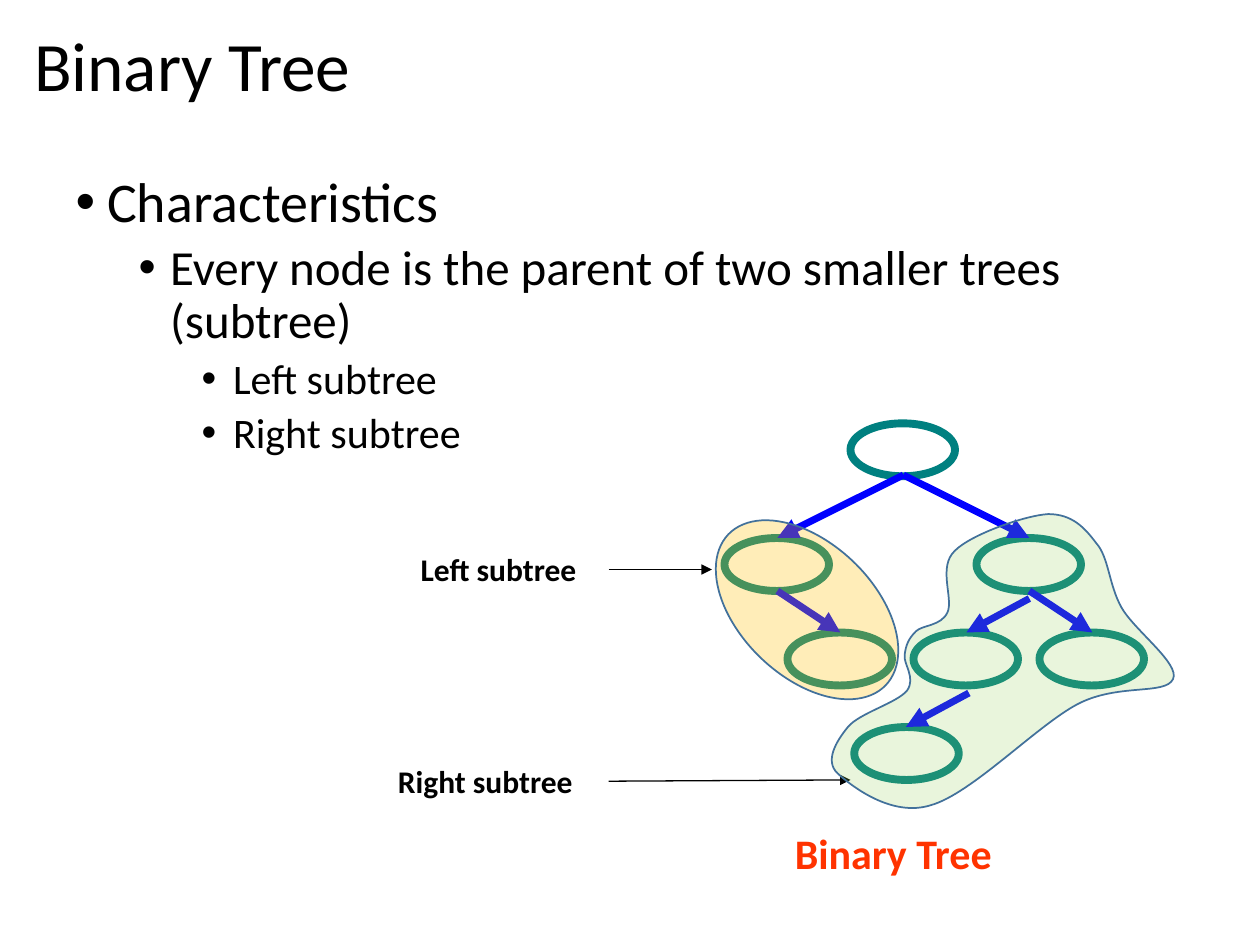
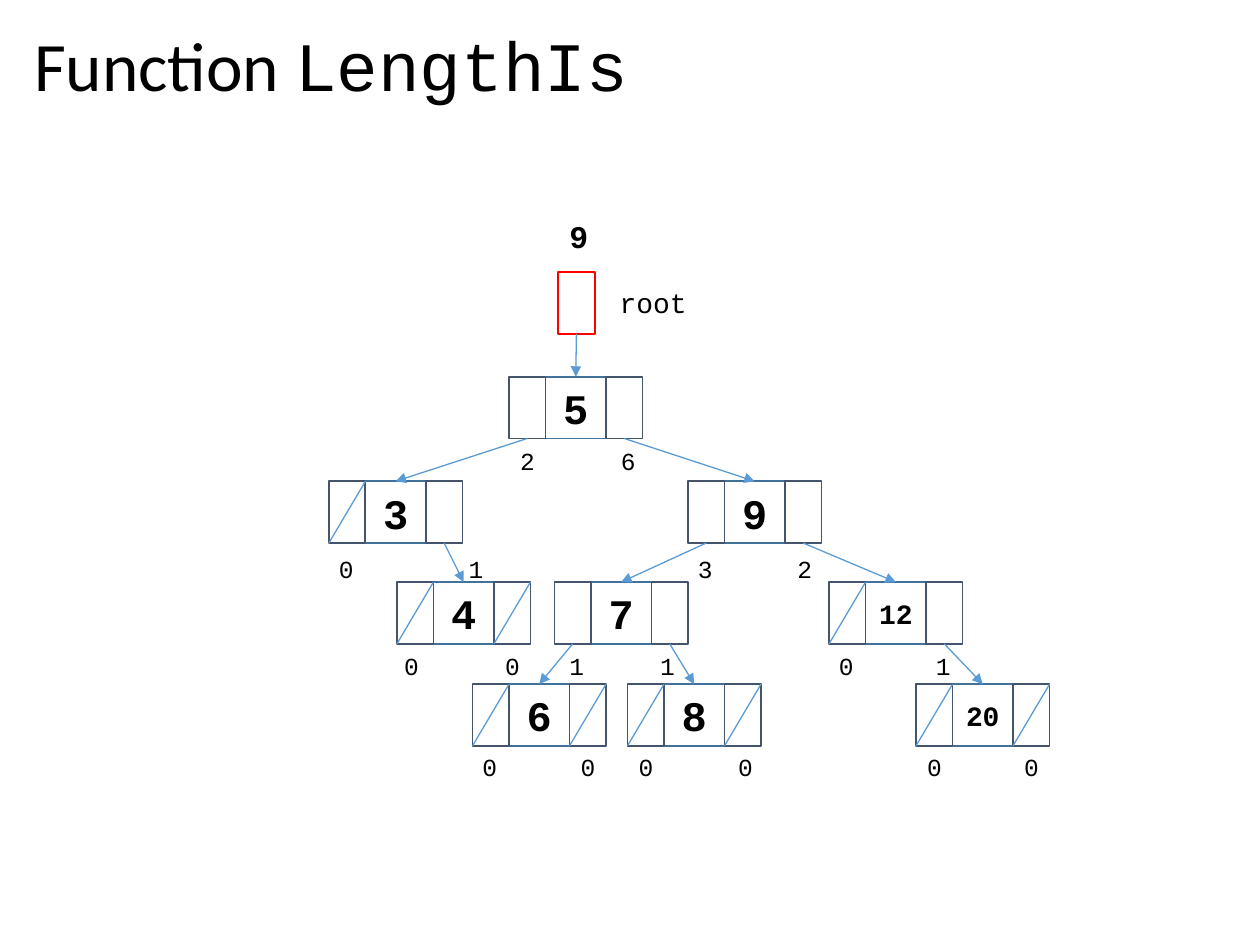
from lxml import etree
from pptx import Presentation
from pptx import util as u
from pptx.dml.color import RGBColor
from pptx.enum import shapes, text
from pptx.oxml.ns import qn

COLORS = {
    "text": "000000", "caption": "FF3300", "node": "008080", "edge": "0000FF",
    "outline": "42719B", "cell": "44546A", "pointer": "5B9BD5", "root": "FF0000",
    "left area": "FFC000", "right area": "92D050",
}
BODY_FONT, CODE_FONT = "Calibri", "Courier New"
OVAL, RECTANGLE = shapes.MSO_SHAPE.OVAL, shapes.MSO_SHAPE.RECTANGLE


def draw_line(slide, start, end, color, width, arrow=True):
    points = [u.Inches(value) for value in (*start, *end)]
    connector = slide.shapes.add_connector(shapes.MSO_CONNECTOR.STRAIGHT, *points)
    connector.line.color.rgb = RGBColor.from_string(COLORS[color])
    connector.line.width = u.Pt(width)
    if arrow:
        etree.SubElement(connector.line._get_or_add_ln(), qn("a:tailEnd"), type="triangle")
    etree.SubElement(connector._element.spPr, qn("a:effectLst"))
    return connector


def add_item(slide, box, wording="", size=14, font=CODE_FONT, bold=False,
             color="text", preset=None, outline=None, width=1):
    """Add an outlined shape, or a plain label when no preset is given."""
    place = [u.Inches(value) for value in box]
    if preset is None:
        shape = slide.shapes.add_textbox(*place)
        shape.text_frame.auto_size = text.MSO_AUTO_SIZE.SHAPE_TO_FIT_TEXT
    else:
        shape = slide.shapes.add_shape(preset, *place)
        shape.shadow.inherit = False
        shape.fill.background()
        shape.line.color.rgb = RGBColor.from_string(COLORS[outline])
        shape.line.width = u.Pt(width)
        shape.text_frame.vertical_anchor = text.MSO_ANCHOR.MIDDLE
        shape.text_frame.paragraphs[0].alignment = text.PP_ALIGN.CENTER
    shape.text_frame.word_wrap = True
    if wording:
        run = shape.text_frame.paragraphs[0].add_run()
        run.text = wording
        run.font.name, run.font.size, run.font.bold = font, u.Pt(size), bold
        run.font.color.rgb = RGBColor.from_string(COLORS[color])
    return shape


presentation = Presentation()
presentation.slide_width, presentation.slide_height = u.Inches(10), u.Inches(7.5)

# Slides and their titles
titles = [
    (1, [("Binary Tree", BODY_FONT)]),
    (5, [("Function ", BODY_FONT), ("LengthIs", CODE_FONT)]),
]
for layout, title_runs in titles:
    slide = presentation.slides.add_slide(presentation.slide_layouts[layout])
    title = slide.shapes.title
    title.left, title.top = u.Inches(0.17), u.Inches(0.18)
    title.width, title.height = u.Inches(9.62), u.Inches(0.74)
    title.text_frame.auto_size = text.MSO_AUTO_SIZE.NONE
    title.text_frame.vertical_anchor = text.MSO_ANCHOR.MIDDLE
    paragraph = title.text_frame.paragraphs[0]
    paragraph.alignment = text.PP_ALIGN.LEFT
    paragraph.line_spacing = 0.9
    for wording, font in title_runs:
        run = paragraph.add_run()
        run.text = wording
        run.font.name, run.font.size = font, u.Pt(39.6)
        run.font.color.rgb = RGBColor.from_string(COLORS["text"])
tree_slide, length_slide = presentation.slides

# Binary tree: bullet list
body = tree_slide.placeholders[1]
body.left, body.top = u.Inches(0.5), u.Inches(1.33)
body.width, body.height = u.Inches(9), u.Inches(4.95)
body.text_frame.auto_size = text.MSO_AUTO_SIZE.NONE
bullets = [
    (0, "Characteristics"),
    (1, "Every node is the parent of two smaller trees (subtree)"),
    (2, "Left subtree"),
    (2, "Right subtree"),
]
for index, (level, wording) in enumerate(bullets):
    paragraph = body.text_frame.paragraphs[0] if index == 0 else body.text_frame.add_paragraph()
    paragraph.level = level
    paragraph.line_spacing = 0.9
    paragraph.space_before = u.Pt(5 if index else 0)
    properties = paragraph._p.get_or_add_pPr()
    properties.set("marL", str(u.Inches(0.25 + 0.5 * level)))
    properties.set("indent", str(u.Inches(-0.25)))
    etree.SubElement(properties, qn("a:buFont"), typeface="Arial")
    etree.SubElement(properties, qn("a:buChar"), char="•")
    run = paragraph.add_run()
    run.text = wording
    run.font.name, run.font.size = BODY_FONT, u.Pt(32 - 4 * level)
    run.font.color.rgb = RGBColor.from_string(COLORS["text"])

# Binary tree: nodes and edges
for left, top in [(6.75, 3.36), (5.75, 4.27), (7.75, 4.27), (6.25, 5.02),
                  (7.25, 5.02), (8.25, 5.02), (6.78, 5.77)]:
    add_item(tree_slide, (left, top, 0.83, 0.42), preset=OVAL, outline="node", width=4.5)
tree_edges = [
    ((7.17, 3.77), (6.17, 4.27)), ((7.17, 3.77), (8.17, 4.27)),
    ((6.17, 4.69), (6.67, 5.02)), ((8.17, 4.69), (8.67, 5.02)),
    ((8.17, 4.75), (7.67, 5.02)), ((7.69, 5.5), (7.19, 5.77)),
]
for start, end in tree_edges:
    draw_line(tree_slide, start, end, "edge", 4)

# Binary tree: labels
add_item(tree_slide, (6.21, 6.52, 2.04, 0.5), "Binary Tree", 24, BODY_FONT, True, "caption")
add_item(tree_slide, (3.24, 4.32, 1.59, 0.4), "Left subtree", 18, BODY_FONT, True)
add_item(tree_slide, (3.06, 6, 1.78, 0.4), "Right subtree", 18, BODY_FONT, True)
draw_line(tree_slide, (4.83, 4.52), (5.65, 4.52), "text", 0.75)
draw_line(tree_slide, (4.83, 6.2), (6.75, 6.19), "text", 0.75)

# Binary tree: translucent subtree areas
left_area = add_item(tree_slide, (5.54, 4.31, 1.73, 1.06), preset=OVAL, outline="outline")
left_area.rotation = 43.8

# Two control points and an end point for each curve
outline_points = [
    (8.14, 4.09), (7.71, 4.24), (7.58, 4.37), (7.44, 4.5), (7.57, 4.75), (7.52, 4.86),
    (7.47, 4.97), (7.32, 4.96), (7.27, 5.01), (7.21, 5.07), (7.19, 5.12), (7.18, 5.2),
    (7.17, 5.27), (7.27, 5.38), (7.2, 5.48), (7.12, 5.58), (6.82, 5.66), (6.73, 5.77),
    (6.64, 5.88), (6.54, 6.04), (6.65, 6.14), (6.76, 6.24), (7.08, 6.49), (7.39, 6.39),
    (7.71, 6.3), (8.23, 5.76), (8.55, 5.59), (8.87, 5.42), (9.25, 5.52), (9.31, 5.39),
    (9.37, 5.27), (9, 5), (8.9, 4.82), (8.8, 4.64), (8.8, 4.42), (8.7, 4.31),
    (8.61, 4.19), (8.51, 4.08), (8.32, 4.08),
]
builder = tree_slide.shapes.build_freeform(u.Inches(8.32), u.Inches(4.08))
builder.add_line_segments([(u.Inches(x), u.Inches(y)) for x, y in outline_points], close=True)
right_area = builder.convert_to_shape()
right_area.shadow.inherit = False
right_area.line.color.rgb = RGBColor.from_string(COLORS["outline"])
right_area.line.width = u.Pt(1)
segments = list(right_area._element.iter(qn("a:lnTo")))
for first in range(0, len(segments), 3):
    curve = etree.Element(qn("a:cubicBezTo"))
    segments[first].addprevious(curve)
    for segment in segments[first:first + 3]:
        curve.append(segment[0])
        segment.getparent().remove(segment)

for area, color, opacity in [(left_area, "left area", 28), (right_area, "right area", 20)]:
    area.fill.solid()
    area.fill.fore_color.rgb = RGBColor.from_string(COLORS[color])
    fill_color = area._element.spPr.find(qn("a:solidFill"))[0]
    etree.SubElement(fill_color, qn("a:alpha"), val=str(opacity * 1000))

# LengthIs: nodes as (value, left of value cell, row, (count, label left) per side)
POINTER_WIDTH, VALUE_WIDTH, CELL_HEIGHT = 0.29, 0.48, 0.49
ROW_TOPS = [2.99, 3.82, 4.62, 5.43]
COUNT_TOPS = [3.49, 4.35, 5.12, 5.92]
nodes = [
    ("5", 4.33, 0, ("2", 4.03), ("6", 4.83)),
    ("3", 2.9, 1, ("0", 2.59), ("1", 3.62)),
    ("9", 5.75, 1, ("3", 5.44), ("2", 6.23)),
    ("4", 3.44, 2, ("0", 3.11), ("0", 3.91)),
    ("7", 4.69, 2, ("1", 4.42), ("1", 5.14)),
    ("12", 6.87, 2, ("0", 6.56), ("1", 7.33)),
    ("6", 4.04, 3, ("0", 3.73), ("0", 4.51)),
    ("8", 5.27, 3, ("0", 4.97), ("0", 5.76)),
    ("20", 7.56, 3, ("0", 7.26), ("0", 8.03)),
]
value_cells, pointer_cells = {}, {}
for value, left, row, left_count, right_count in nodes:
    top = ROW_TOPS[row]
    value_cells[value] = add_item(
        length_slide, (left, top, VALUE_WIDTH, CELL_HEIGHT), value,
        24 if len(value) == 1 else 16, bold=True, preset=RECTANGLE, outline="outline")
    sides = [("left", left - POINTER_WIDTH, left_count), ("right", left + VALUE_WIDTH, right_count)]
    for side, cell_left, (count, count_left) in sides:
        pointer_cells[value, side] = add_item(
            length_slide, (cell_left, top, POINTER_WIDTH, CELL_HEIGHT),
            preset=RECTANGLE, outline="cell")
        if count == "0":  # an empty pointer is crossed out
            draw_line(length_slide, (cell_left + POINTER_WIDTH, top),
                      (cell_left, top + CELL_HEIGHT), "pointer", 0.75, arrow=False)
        add_item(length_slide, (count_left, COUNT_TOPS[row], 0.32, 0.34), count)

# LengthIs: root pointer and total
pointer_cells["root", "down"] = add_item(
    length_slide, (4.43, 2.16, POINTER_WIDTH, CELL_HEIGHT), preset=RECTANGLE, outline="root")
add_item(length_slide, (4.82, 2.22, 2.12, 0.37), "root", 16)
add_item(length_slide, (4.42, 1.67, 0.35, 0.4), "9", 18, bold=True)

# LengthIs: arrows from pointer cells to child nodes
links = [
    ("root", "down", "5"), ("5", "left", "3"), ("5", "right", "9"), ("3", "right", "4"),
    ("9", "left", "7"), ("9", "right", "12"), ("7", "left", "6"), ("7", "right", "8"),
    ("12", "right", "20"),
]
for parent, side, child in links:
    source, target = pointer_cells[parent, side], value_cells[child]
    arrow = draw_line(length_slide, (source.left.inches, source.top.inches),
                      (target.left.inches, target.top.inches), "pointer", 0.75)
    arrow.begin_connect(source, 2)
    arrow.end_connect(target, 0)

presentation.save("out.pptx")
